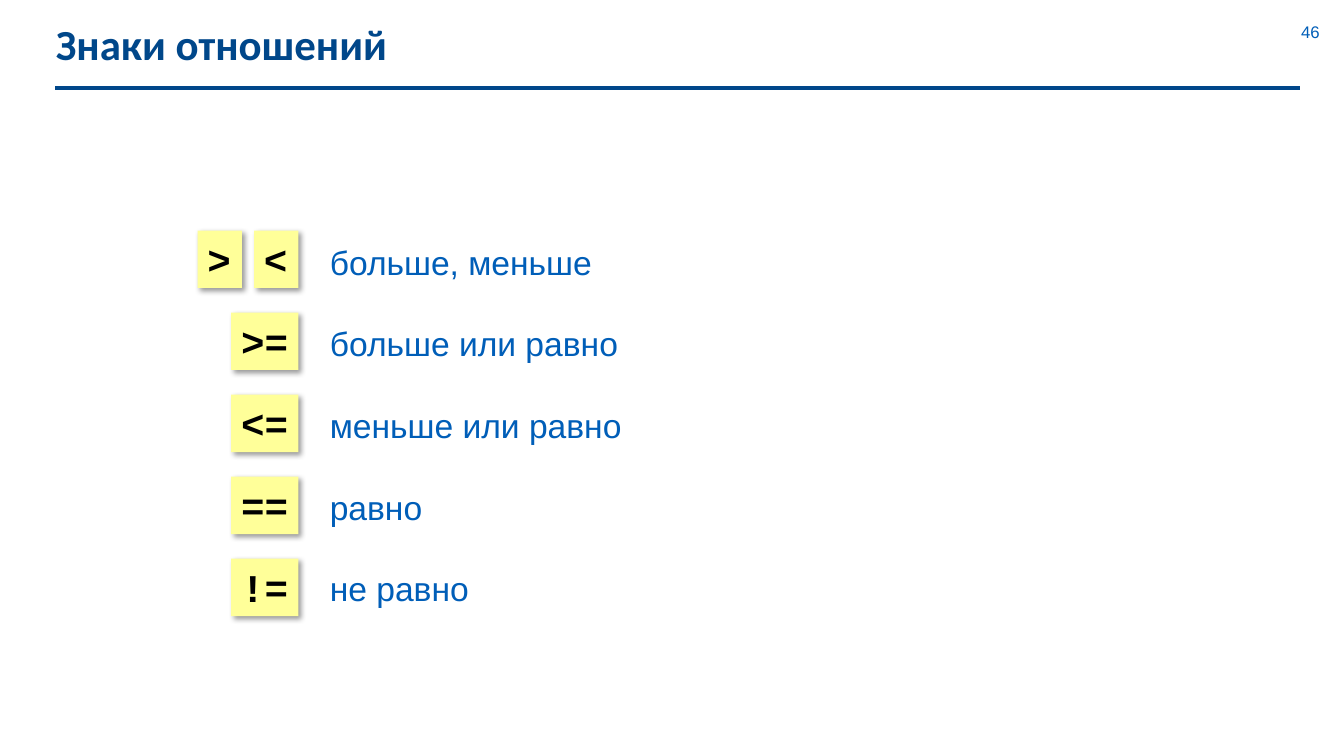
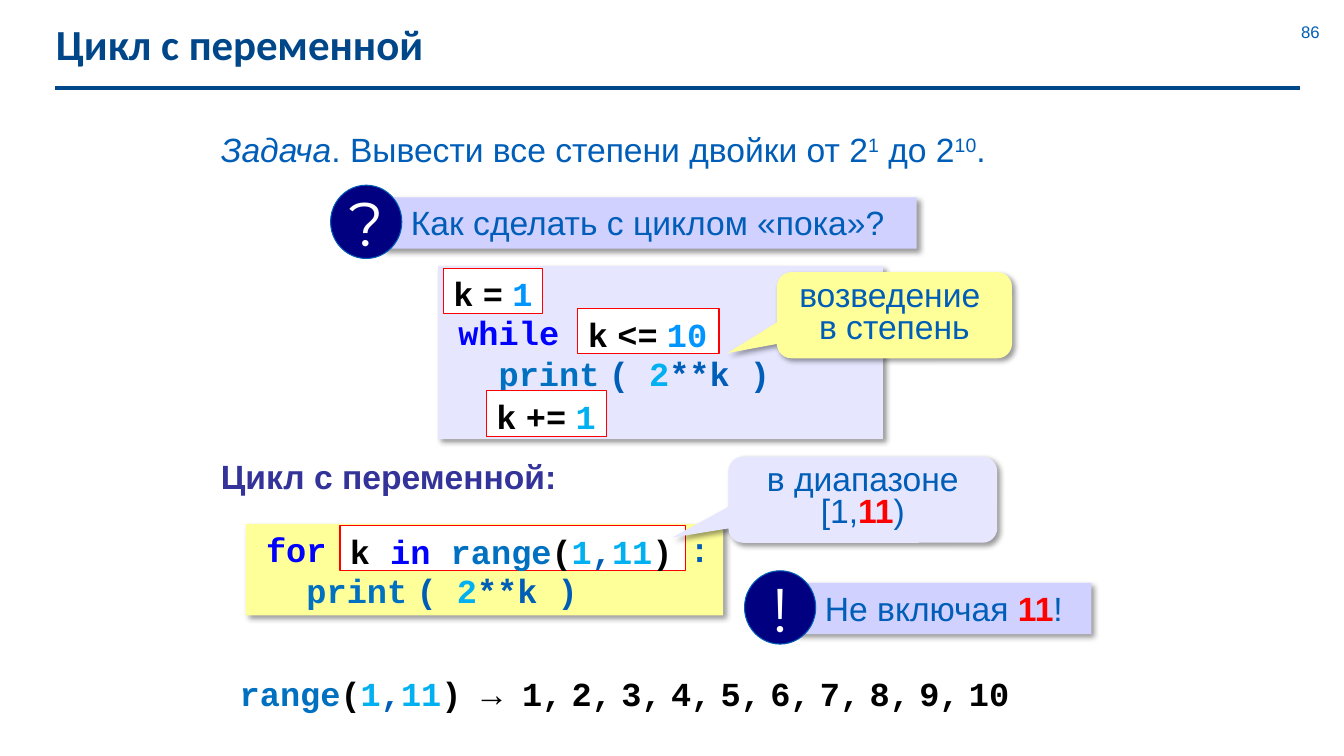
from lxml import etree
from pptx import Presentation, util as u
from pptx.dml import color
from pptx.enum import shapes, text
from pptx.oxml import ns

NAVY, BLUE, BLACK, WHITE, RED = "00478A", "005EB8", "000000", "FFFFFF", "FF0000"
KEY, FUNC, NUM, VALUE = "0000FF", "0070C0", "00B0F0", "0095FF"
YELLOW, LILAC, PALE, DARK = "FFFF99", "D1D1FF", "E6E6FF", "000080"
HEAD = "333399"
SANS, MONO = "Arial", "Courier New"
RECT = shapes.MSO_SHAPE.RECTANGLE
OVAL = shapes.MSO_SHAPE.OVAL
TALK = shapes.MSO_SHAPE.ROUNDED_RECTANGULAR_CALLOUT
TOP, MID = text.MSO_ANCHOR.TOP, text.MSO_ANCHOR.MIDDLE
LEFT, MIDST = text.PP_ALIGN.LEFT, text.PP_ALIGN.CENTER


def rgb(tint):
    """Turn a hex string into a colour."""
    return color.RGBColor.from_string(tint)


class Deck:
    """Hold the shared style and the current slide on a 100 by 100 grid."""

    def __init__(self):
        """Open an empty wide deck."""
        self.prs = Presentation()
        self.prs.slide_width = u.Inches(13.33)
        self.prs.slide_height = u.Inches(7.5)
        self.page = None

    def place(self, x, y):
        """Turn a column and a row into lengths."""
        return int(self.prs.slide_width * x / 100), int(self.prs.slide_height * y / 100)

    def effect(self, item, glow=False):
        """Replace the effects of an item by none or the soft shadow."""
        props = item._element.spPr
        for old in props.findall(ns.qn("a:effectLst")):
            props.remove(old)
        group = etree.SubElement(props, ns.qn("a:effectLst"))
        if glow:
            cast = etree.SubElement(group, ns.qn("a:outerShdw"), blurRad=str(u.Pt(4)),
                                    dist=str(u.Pt(3)), dir="2700000", algn="tl", rotWithShape="0")
            tint = etree.SubElement(cast, ns.qn("a:srgbClr"), val=BLACK)
            etree.SubElement(tint, ns.qn("a:alpha"), val="40000")

    def run(self, para, words, tint, marks="", face=SANS, size=24):
        """Add a run; marks are b bold, i italic, ^ raised, t thin spaces."""
        if "t" in marks:
            plain = marks.replace("t", "")
            for n, word in enumerate(words.split(" ")):
                if n:
                    self.run(para, " ", tint, plain, SANS, size)
                if word:
                    self.run(para, word, tint, plain, face, size)
            return
        for n, row in enumerate(words.split("\n")):
            if n:
                para.add_line_break()
            run = para.add_run()
            run.text = row
            font = run.font
            font.name, font.size, font.color.rgb = face, u.Pt(size), rgb(tint)
            font.bold, font.italic = "b" in marks, "i" in marks
            if "^" in marks:
                run._r.get_or_add_rPr().set("baseline", "30000")

    def pour(self, item, lines, face=SANS, size=24, align=LEFT, anchor=TOP,
             pad=(0.1, 0.05, 0.1, 0.05), wrap=True, space=None, tab=None, bold=False):
        """Fill the text frame of an item with lines of runs."""
        frame = item.text_frame
        frame.auto_size = text.MSO_AUTO_SIZE.NONE
        frame.word_wrap, frame.vertical_anchor = wrap, anchor
        (frame.margin_left, frame.margin_top,
         frame.margin_right, frame.margin_bottom) = map(u.Inches, pad)
        for n, runs in enumerate(lines):
            para = frame.add_paragraph() if n else frame.paragraphs[0]
            para.alignment = align
            if space:
                para.line_spacing = space
            if tab:
                stops = etree.SubElement(para._p.get_or_add_pPr(), ns.qn("a:tabLst"))
                etree.SubElement(stops, ns.qn("a:tab"), pos=str(u.Inches(tab)), algn="l")
            for words, tint, *marks in runs:
                self.run(para, words, tint, "".join(marks) + "b" * bold, face, size)

    def label(self, x, y, w, h, lines, **look):
        """Add plain text."""
        item = self.page.shapes.add_textbox(*self.place(x, y), *self.place(w, h))
        self.pour(item, lines, **look)

    def box(self, x, y, w, h, lines, fill, line=None, kind=RECT, **look):
        """Add a filled shape, with a shadow where it has no outline."""
        item = self.page.shapes.add_shape(kind, *self.place(x, y), *self.place(w, h))
        item.fill.solid()
        item.fill.fore_color.rgb = rgb(fill)
        if line:
            item.line.color.rgb, item.line.width = rgb(line), u.Pt(0.75)
        else:
            item.line.fill.background()
        self.effect(item, glow=not line)
        self.pour(item, lines, **look)
        return item

    def slide(self, title, number):
        """Start a slide with its title, rule and number."""
        self.page = self.prs.slides.add_slide(self.prs.slide_layouts[5])
        head = self.page.shapes.title
        head.left, head.top = self.place(3.4, 2.3)
        head.width, head.height = self.place(91.6, 6.9)
        self.pour(head, [[(title, NAVY)]], face="Calibri", size=30.6, bold=True,
                  pad=(0.1, 0, 0.1, 0.05))
        rule = self.page.shapes.add_connector(
            shapes.MSO_CONNECTOR.STRAIGHT, *self.place(4.1, 11.6), *self.place(96.7, 11.6))
        rule.line.color.rgb, rule.line.width = rgb(NAVY), u.Pt(3)
        self.effect(rule)
        self.label(95, 2.9, 5, 2.7, [[(number, BLUE)]], size=12, align=MIDST,
                   anchor=MID, pad=(0, 0, 0, 0))

    def sign(self, right, y, mark):
        """Add an operator tile that ends at a column and return its left."""
        wide = 1.6 + 1.7 * len(mark)
        self.box(right - wide, y, wide, 7.6, [[(mark, BLACK)]], YELLOW,
                 face=MONO, size=28, bold=True, wrap=False)
        return right - wide

    def note(self, x, y, w, mark, runs):
        """Add a banner with a round badge."""
        self.box(x, y, w, 6.8, [runs], LILAC, pad=(0.29, 0.05, 0.1, 0.05))
        self.box(x - 3.8, y - 1.6, 5.3, 9.7, [[(mark, WHITE)]], DARK, BLUE, OVAL,
                 face="Montserrat", size=44, align=MIDST, anchor=MID, wrap=False)

    def code(self, x, y, w, h, lines, fill, **look):
        """Add a block of code."""
        self.box(x, y, w, h, lines, fill, face=MONO, bold=True, anchor=MID,
                 pad=(0.2, 0.05, 0.1, 0.05), **look)

    def frame(self, x, y, w, runs):
        """Add an outlined piece of code."""
        self.box(x, y, w, 6, [runs], WHITE, RED, face=MONO, bold=True,
                 pad=(0.1, 0.05, 0.1, 0), wrap=False)

    def talk(self, x, y, w, runs, fill):
        """Add a speech callout."""
        item = self.box(x, y, w, 11.4, [runs], fill, kind=TALK, align=MIDST, space=0.8)
        for n, value in enumerate((-0.71, 0.44, 0.17)):
            item.adjustments[n] = value


def signs(deck):
    """Build the slide on comparison signs."""
    deck.slide("Знаки отношений", "46")
    rows = [("> <", "больше, меньше"), (">=", "больше или равно"),
            ("<=", "меньше или равно"), ("==", "равно"), ("!=", "не равно")]
    for n, (marks, words) in enumerate(rows):
        right = 22.2
        for mark in reversed(marks.split()):
            right = deck.sign(right, 30.5 + 10.85 * n, mark) - 0.9
        deck.label(23.8, 31.3 + 10.8 * n, 30, 6.7, [[(words, BLUE)]])


def loop(deck):
    """Build the slide on the counted loop."""
    call = [("range", FUNC), ("(", BLACK), ("1", NUM), (",", BLUE), ("11", NUM)]
    show = [("  ", BLUE), ("print ", FUNC, "t"), ("( ", BLUE), ("2", NUM), ("**k )", BLUE)]
    deck.slide("Цикл с переменной", "86")
    deck.label(15.7, 16.4, 69.5, 6.8, [[
        ("Задача", BLUE, "i"), (". Вывести все степени двойки от 2", BLUE),
        ("1", BLUE, "^"), (" до 2", BLUE), ("10", BLUE, "^"), (".", BLUE)]])
    deck.note(28.4, 26.1, 39.8, "?", [("Как сделать с циклом «пока»?", BLUE)])
    deck.code(32.6, 35.2, 33.1, 22.9, [[("while", KEY)], show], PALE)
    deck.frame(33, 35.5, 7.4, [("k = ", BLACK, "t"), ("1", VALUE)])
    deck.frame(43, 40.8, 10.5, [("k <= ", BLACK, "t"), ("10", VALUE)])
    deck.frame(36.2, 51.7, 8.9, [("k += ", BLACK, "t"), ("1", NUM)])
    deck.code(18.3, 69.3, 35.5, 12.1, [[("for", KEY), ("\t:", BLUE)], show], YELLOW, tab=4.2)
    deck.frame(25.3, 69.5, 25.7, [("k ", BLACK), ("in ", KEY), *call, (")", BLACK)])
    deck.talk(54.2, 60.4, 20, [("в диапазоне [1,", BLUE), ("11", RED, "b"), (")", BLUE)], PALE)
    deck.label(15.7, 59.7, 30, 6.7, [[("Цикл с переменной:", HEAD)]], bold=True)
    deck.note(59.2, 77.1, 22, "!", [("Не включая ", BLUE), ("11", RED, "b"), ("!", BLUE)])
    deck.label(17.1, 88.4, 65, 6.8, [[
        *call, (") → ", BLACK), ("1, 2, 3, 4, 5, 6, 7, 8, 9, 10", BLACK, "t")]],
        face=MONO, bold=True)
    deck.talk(57.8, 36, 17.5, [("возведение \nв степень", BLUE)], YELLOW)


def main():
    """Build and save the deck."""
    deck = Deck()
    signs(deck)
    loop(deck)
    deck.prs.save("out.pptx")


if __name__ == "__main__":
    main()
